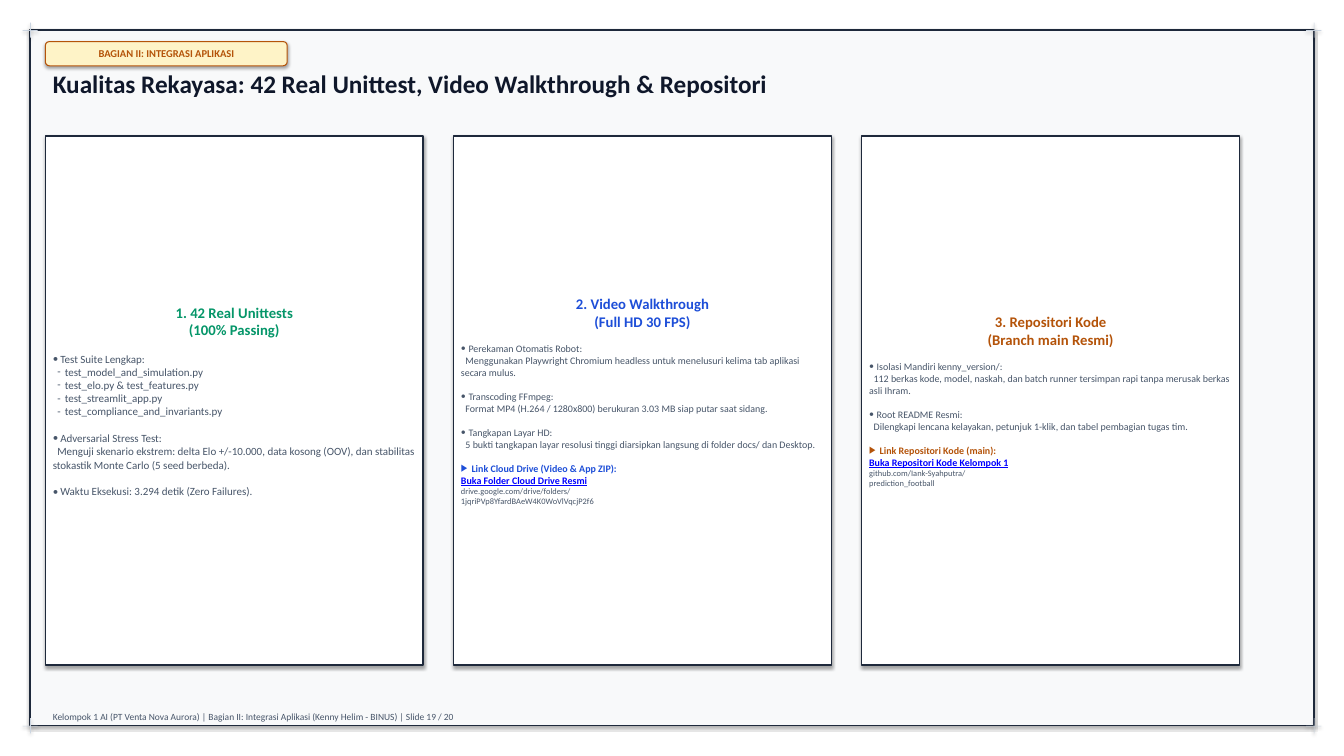
from lxml import etree
from pptx import Presentation
from pptx import util as u
from pptx.dml.color import RGBColor
from pptx.enum import shapes, text
from pptx.oxml.ns import qn

COLORS = {
    "page": "F8F9FA", "card": "FFFFFF", "frame": "1E293B", "mark": "CBD5E1",
    "tag": "FEF3C7", "title": "0F172A", "body": "475569", "link": "0000FF",
    "green": "059669", "blue": "1D4ED8", "amber": "B45309",
}
FONT = "Calibri"
SLIDE_W, SLIDE_H = 17.78, 10
MARGIN = 0.4
MARK = 0.2
CARD_LEFT, CARD_TOP, CARD_W, CARD_H, CARD_GAP = 0.6, 1.8, 5, 7, 0.4
LINE_HEIGHT = 1.22

TAG = "BAGIAN II: INTEGRASI APLIKASI"
TITLE = "Kualitas Rekayasa: 42 Real Unittest, Video Walkthrough & Repositori"
FOOTER = ("Kelompok 1 AI (PT Venta Nova Aurora) | Bagian II: Integrasi Aplikasi "
          "(Kenny Helim - BINUS) | Slide 19 / 20")

CARDS = [
    {"heading": ["1. 42 Real Unittests", "(100% Passing)"], "accent": "green", "size": 10.5,
     "lines": [
         ("topic", "Test Suite Lengkap:"),
         ("item", "test_model_and_simulation.py"),
         ("item", "test_elo.py & test_features.py"),
         ("item", "test_streamlit_app.py"),
         ("item", "test_compliance_and_invariants.py"),
         ("topic", "Adversarial Stress Test:"),
         ("detail", "Menguji skenario ekstrem: delta Elo +/-10.000, data kosong (OOV), "
                    "dan stabilitas stokastik Monte Carlo (5 seed berbeda)."),
         ("topic", "Waktu Eksekusi: 3.294 detik (Zero Failures)."),
     ]},
    {"heading": ["2. Video Walkthrough", "(Full HD 30 FPS)"], "accent": "blue", "size": 9.5,
     "lines": [
         ("topic", "Perekaman Otomatis Robot:"),
         ("detail", "Menggunakan Playwright Chromium headless untuk menelusuri kelima tab "
                    "aplikasi secara mulus."),
         ("topic", "Transcoding FFmpeg:"),
         ("detail", "Format MP4 (H.264 / 1280x800) berukuran 3.03 MB siap putar saat sidang."),
         ("topic", "Tangkapan Layar HD:"),
         ("detail", "5 bukti tangkapan layar resolusi tinggi diarsipkan langsung di folder "
                    "docs/ dan Desktop."),
         ("pointer", "Link Cloud Drive (Video & App ZIP):"),
         ("link", "Buka Folder Cloud Drive Resmi"),
         ("address", "drive.google.com/drive/folders/"),
         ("address", "1jqriPVp8YfardBAeW4K0WoVlVqcjP2f6"),
     ]},
    {"heading": ["3. Repositori Kode", "(Branch main Resmi)"], "accent": "amber", "size": 9.5,
     "lines": [
         ("topic", "Isolasi Mandiri kenny_version/:"),
         ("detail", "112 berkas kode, model, naskah, dan batch runner tersimpan rapi tanpa "
                    "merusak berkas asli Ihram."),
         ("topic", "Root README Resmi:"),
         ("detail", "Dilengkapi lencana kelayakan, petunjuk 1-klik, dan tabel pembagian "
                    "tugas tim."),
         ("pointer", "Link Repositori Kode (main):"),
         ("link", "Buka Repositori Kode Kelompok 1"),
         ("address", "github.com/Iank-Syahputra/"),
         ("address", "prediction_football"),
     ]},
]

LINE_STYLES = {
    "topic": {"bullet": "•", "left": 0.1, "indent": -0.1, "gap": True},
    "item": {"bullet": "-", "left": 0.16, "indent": -0.1},
    "detail": {"indent": 0.06},
    "pointer": {"bullet": "▶", "left": 0.14, "indent": -0.14, "gap": True, "bold": True},
    "link": {"color": "link", "bold": True, "underline": True},
    "address": {"size": 8},
}


def rgb(name):
    return RGBColor.from_string(COLORS[name])


def add_block(slide, kind, box, fill, line=None, width=1.5):
    block = slide.shapes.add_shape(kind, *map(u.Inches, box))
    block.fill.solid()
    block.fill.fore_color.rgb = rgb(fill)
    if line:
        block.line.color.rgb = rgb(line)
        block.line.width = u.Pt(width)
    else:
        block.line.fill.background()
    return block


def add_run(paragraph, words, size, color, bold=False, underline=False):
    run = paragraph.add_run()
    run.text = words
    run.font.name = FONT
    run.font.size = u.Pt(size)
    run.font.bold = bold
    run.font.underline = underline
    run.font.color.rgb = rgb(color)


def add_label(slide, box, words, size, color, bold=False):
    frame = slide.shapes.add_textbox(*map(u.Inches, box)).text_frame
    frame.word_wrap = True
    add_run(frame.paragraphs[0], words, size, color, bold)


def set_indent(paragraph, left=0, indent=0, bullet=None):
    props = paragraph._p.get_or_add_pPr()
    props.set("marL", str(u.Inches(left)))
    props.set("indent", str(u.Inches(indent)))
    if bullet:
        etree.SubElement(props, qn("a:buFont")).set("typeface", FONT)
        etree.SubElement(props, qn("a:buChar")).set("char", bullet)


def add_card(slide, left, card):
    box = (left, CARD_TOP, CARD_W, CARD_H)
    frame = add_block(slide, shapes.MSO_SHAPE.RECTANGLE, box, "card", "frame").text_frame
    frame.word_wrap = True
    frame.vertical_anchor = text.MSO_ANCHOR.MIDDLE
    for i, words in enumerate(card["heading"]):
        heading = frame.add_paragraph() if i else frame.paragraphs[0]
        heading.alignment = text.PP_ALIGN.CENTER
        add_run(heading, words, 14, card["accent"], True)
    for role, words in card["lines"]:
        style = LINE_STYLES[role]
        paragraph = frame.add_paragraph()
        paragraph.alignment = text.PP_ALIGN.LEFT
        set_indent(paragraph, style.get("left", 0), style.get("indent", 0), style.get("bullet"))
        if style.get("gap"):
            paragraph.space_before = u.Pt(round(card["size"] * LINE_HEIGHT, 1))
        color = card["accent"] if role == "pointer" else style.get("color", "body")
        add_run(paragraph, words, style.get("size", card["size"]), color,
                style.get("bold", False), style.get("underline", False))


def main():
    deck = Presentation()
    deck.slide_width, deck.slide_height = u.Inches(SLIDE_W), u.Inches(SLIDE_H)
    slide = deck.slides.add_slide(deck.slide_layouts[6])
    rectangle = shapes.MSO_SHAPE.RECTANGLE

    page = (MARGIN, MARGIN, SLIDE_W - 2 * MARGIN, SLIDE_H - 2 * MARGIN)
    add_block(slide, rectangle, page, "page", "frame")
    for y in (MARGIN, SLIDE_H - MARGIN):
        for x in (MARGIN, SLIDE_W - MARGIN):
            add_block(slide, rectangle, (x - MARK / 2, y, MARK, 0.01), "mark")
            add_block(slide, rectangle, (x, y - MARK / 2, 0.01, MARK), "mark")

    add_label(slide, (0.6, 9.35, 16.58, 0.35), FOOTER, 9, "body")
    tag = add_block(slide, shapes.MSO_SHAPE.ROUNDED_RECTANGLE, (0.6, 0.55, 3.2, 0.32),
                    "tag", "amber", 1).text_frame
    tag.vertical_anchor = text.MSO_ANCHOR.MIDDLE
    tag.paragraphs[0].alignment = text.PP_ALIGN.CENTER
    add_run(tag.paragraphs[0], TAG, 10, "amber", True)
    add_label(slide, (0.6, 0.85, 16.5, 0.8), TITLE, 24, "title", True)

    for i, card in enumerate(CARDS):
        add_card(slide, CARD_LEFT + i * (CARD_W + CARD_GAP), card)

    deck.save("out.pptx")


if __name__ == "__main__":
    main()
